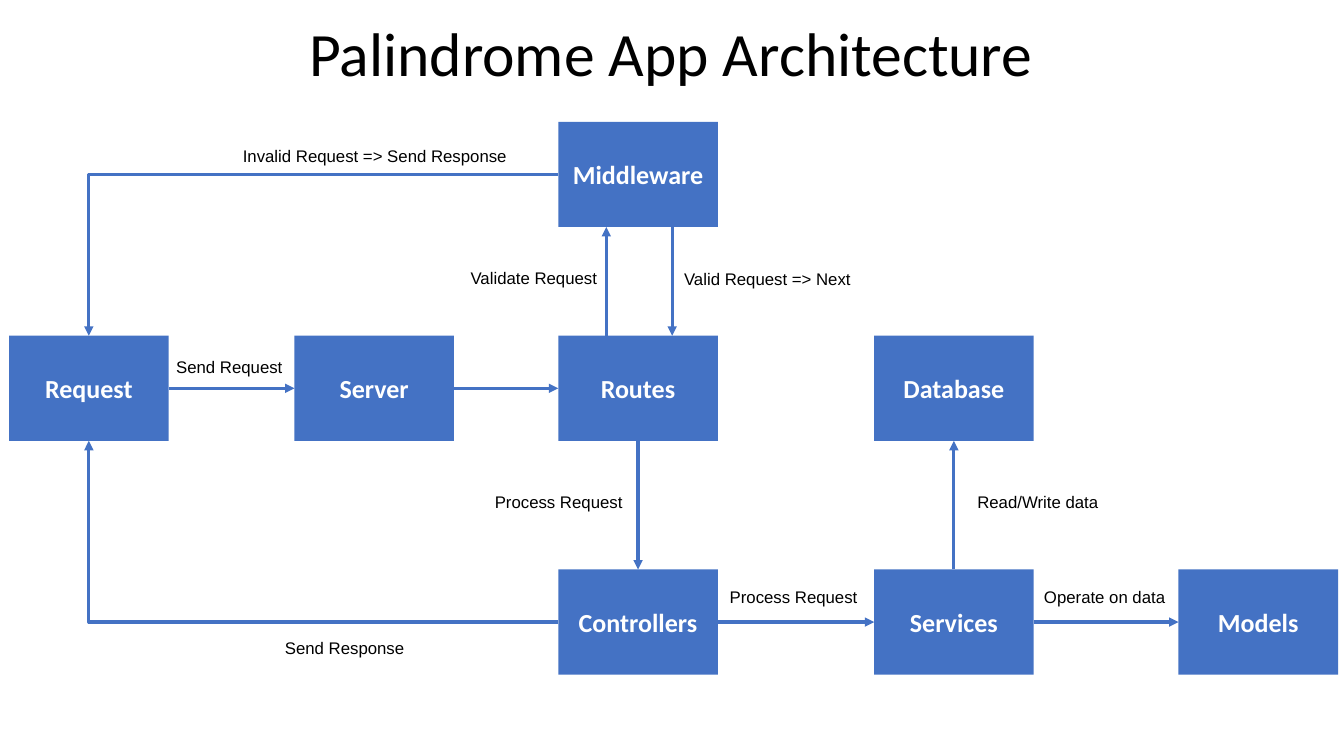
from lxml.etree import SubElement
from pptx import Presentation
from pptx.dml.color import RGBColor
from pptx.enum.shapes import MSO_CONNECTOR, MSO_SHAPE
from pptx.enum.text import MSO_ANCHOR, PP_ALIGN
from pptx.oxml.ns import qn
from pptx.util import Cm, Pt

# Content
TITLE = "Palindrome App Architecture"
STAGES = {  # name: (column, row)
    "Middleware": (2, 0),
    "Request": (0, 1), "Server": (1, 1), "Routes": (2, 1), "Database": (3, 1),
    "Controllers": (2, 2), "Services": (3, 2), "Models": (4, 2),
}
FLOWS = [  # from, side, to, side, sideways shift in cm
    ("Request", "right", "Server", "left", 0),
    ("Server", "right", "Routes", "left", 0),
    ("Routes", "top", "Middleware", "bottom", -0.8),
    ("Middleware", "bottom", "Routes", "top", 0.86),
    ("Middleware", "left", "Request", "top", 0),
    ("Routes", "bottom", "Controllers", "top", 0),
    ("Controllers", "left", "Request", "bottom", 0),
    ("Controllers", "right", "Services", "left", 0),
    ("Services", "top", "Database", "bottom", 0),
    ("Services", "right", "Models", "left", 0),
]
CAPTIONS = [  # text, left, top, width in cm
    ("Invalid Request => Send Response", 5.87, 3.56, 7.29),
    ("Validate Request", 11.61, 6.63, 3.84),
    ("Valid Request => Next", 16.99, 6.65, 5.03),
    ("Send Request", 4.19, 8.86, 3.23),
    ("Process Request", 12.22, 12.27, 3.84),
    ("Read/Write data", 24.38, 12.27, 3.84),
    ("Process Request", 18.14, 14.66, 3.84),
    ("Operate on data", 26.06, 14.66, 3.84),
    ("Send Response", 6.93, 15.95, 3.84),
]

# Layout in cm
COLUMNS = (0.23, 7.42, 14.07, 22.03, 29.7)
ROWS = (3.07, 8.46, 14.35)
STAGE_W, STAGE_H = 4.02, 2.65
SIDES = {  # side: (connection site, share of width, share of height)
    "top": (0, 0.5, 0), "left": (1, 0, 0.5),
    "bottom": (2, 0.5, 1), "right": (3, 1, 0.5),
}

THEME = {
    "blue": RGBColor(0x44, 0x72, 0xC4),
    "line": Pt(2.25),
    "title": ({"name": "Calibri", "size": Pt(44)}, RGBColor(0, 0, 0)),
    "stage": ({"name": "Calibri", "size": Pt(18.6), "bold": True},
              RGBColor(255, 255, 255)),
    "caption": ({"name": "Arial", "size": Pt(12)}, RGBColor(0, 0, 0)),
}


def write(holder, text, role, align, anchor, wrap):
    frame = holder.text_frame
    frame.word_wrap, frame.vertical_anchor = wrap, anchor
    paragraph = frame.paragraphs[0]
    paragraph.alignment = align
    run = paragraph.add_run()
    run.text = text
    formats, colour = THEME[role]
    for key, value in formats.items():
        setattr(run.font, key, value)
    run.font.color.rgb = colour
    return paragraph


def port(name, side, shift):
    column, row = STAGES[name]
    _, across, down = SIDES[side]
    return (Cm(COLUMNS[column] + across * STAGE_W + shift),
            Cm(ROWS[row] + down * STAGE_H))


deck = Presentation()
deck.slide_width, deck.slide_height = Cm(33.87), Cm(19.05)
slide = deck.slides.add_slide(deck.slide_layouts[6])
shapes = slide.shapes

# Title
heading = shapes.add_textbox(Cm(0.23), Cm(0.3), Cm(33.38), Cm(2.26))
write(heading, TITLE, "title", PP_ALIGN.CENTER, MSO_ANCHOR.MIDDLE,
      True).line_spacing = 0.9

# Stages
stage_boxes = {}
for name, (column, row) in STAGES.items():
    box = shapes.add_shape(MSO_SHAPE.ROUNDED_RECTANGLE, Cm(COLUMNS[column]),
                           Cm(ROWS[row]), Cm(STAGE_W), Cm(STAGE_H))
    box.adjustments[0] = 0
    box.shadow.inherit = False
    box.fill.solid()
    box.fill.fore_color.rgb = THEME["blue"]
    box.line.fill.background()
    write(box, name, "stage", PP_ALIGN.CENTER, MSO_ANCHOR.MIDDLE, False)
    stage_boxes[name] = box

# Flows: a turn is needed when one end is on a left side, the other above or below
for source, exit_side, target, entry_side, shift in FLOWS:
    turns = exit_side == "left" and entry_side in ("top", "bottom")
    kind = MSO_CONNECTOR.ELBOW if turns else MSO_CONNECTOR.STRAIGHT
    arrow = shapes.add_connector(kind, *port(source, exit_side, shift),
                                 *port(target, entry_side, shift))
    if not shift:
        arrow.begin_connect(stage_boxes[source], SIDES[exit_side][0])
        arrow.end_connect(stage_boxes[target], SIDES[entry_side][0])
    arrow.line.color.rgb = THEME["blue"]
    arrow.line.width = THEME["line"]
    properties = arrow._element.spPr
    if turns:
        properties.find(qn("a:prstGeom")).set("prst", "bentConnector2")
    SubElement(properties.find(qn("a:ln")), qn("a:tailEnd"), type="triangle")
    SubElement(properties, qn("a:effectLst"))

# Captions
for text, left, top, width in CAPTIONS:
    caption = shapes.add_textbox(Cm(left), Cm(top), Cm(width), Cm(0.76))
    write(caption, text, "caption", PP_ALIGN.LEFT, MSO_ANCHOR.TOP, True)

deck.save("out.pptx")
